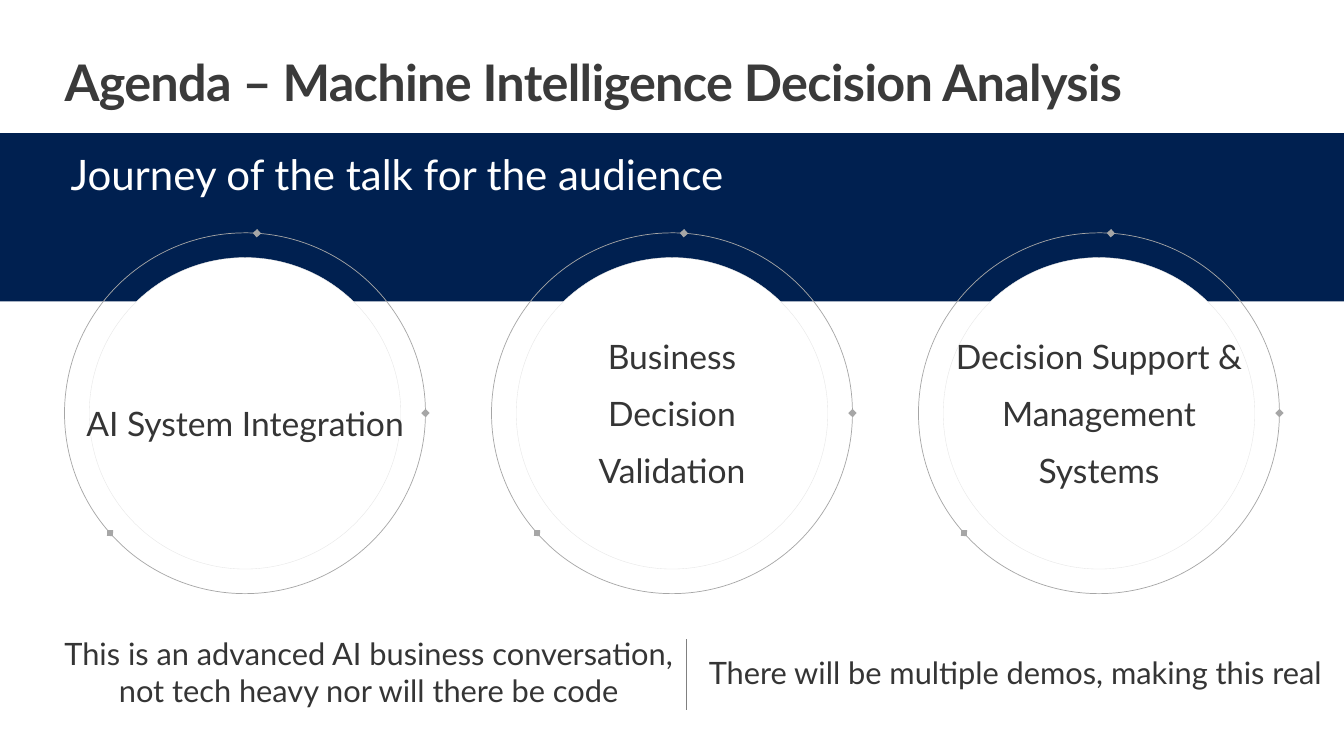
from dataclasses import dataclass

from lxml import etree
from pptx import Presentation
from pptx.dml.color import RGBColor
from pptx.enum.shapes import MSO_CONNECTOR, MSO_SHAPE
from pptx.enum.text import MSO_ANCHOR, PP_ALIGN
from pptx.oxml.ns import qn
from pptx.util import Inches, Pt

RECT, OVAL, ARC = MSO_SHAPE.RECTANGLE, MSO_SHAPE.OVAL, MSO_SHAPE.ARC
STRAIGHT = MSO_CONNECTOR.STRAIGHT
LEFT, CENTER = PP_ALIGN.LEFT, PP_ALIGN.CENTER
TOP, MIDDLE = MSO_ANCHOR.TOP, MSO_ANCHOR.MIDDLE


@dataclass(frozen=True)
class Theme:
    """Colours, font and type sizes of the slide."""
    font: str = "Lato"
    title: str = "3A3A3A"
    text: str = "353535"
    white: str = "FFFFFF"
    navy: str = "002050"
    ring: str = "A6A6A6"
    rim: str = "E6E6E6"
    rule: str = "808080"
    title_size: int = 36
    banner_size: int = 30
    topic_size: int = 24
    note_size: int = 22


T = Theme()
W, H = 13.33, 7.5
TOPICS = [
    ["AI System Integration"],
    ["Business", "Decision", "Validation"],
    ["Decision Support &", "Management", "Systems"],
]
RING_ARCS = [
    (156.45, 273.8, True),
    (274.36, 359.95, True),
    (359.66, 138.39, True),
    (138.87, 156.47, False),
]


def write(sp, lines, size, color=T.text, bold=False, align=CENTER, anchor=MIDDLE,
          insets=(0, 0, 0, 0), wrap=True, gap=0, spacing=None):
    """Fill a shape with one formatted paragraph per line."""
    tf = sp.text_frame
    tf.word_wrap, tf.vertical_anchor = wrap, anchor
    tf.margin_left, tf.margin_top, tf.margin_right, tf.margin_bottom = map(Inches, insets)
    for i, line in enumerate(lines):
        p = tf.paragraphs[0] if i == 0 else tf.add_paragraph()
        p.alignment = align
        p.space_before = Pt(gap if i else 0)
        r = p.add_run()
        r.text = line
        r.font.name, r.font.size, r.font.bold = T.font, Pt(size), bold
        r.font.color.rgb = RGBColor.from_string(color)
        if spacing is not None:
            r.font._element.set("spc", str(int(spacing * 100)))


def add_shape(shapes, kind, box, fill=None, line=None, width=0.5):
    """Add a flat preset shape with the given fill and line."""
    sp = shapes.add_shape(kind, *map(Inches, box))
    sp.shadow.inherit = False
    if fill:
        sp.fill.solid()
        sp.fill.fore_color.rgb = RGBColor.from_string(fill)
    else:
        sp.fill.background()
    if line:
        sp.line.color.rgb = RGBColor.from_string(line)
        sp.line.width = Pt(width)
    else:
        sp.line.fill.background()
    return sp


def add_title(s, box, text):
    """Place and format the title placeholder."""
    sp = s.shapes.title
    sp.left, sp.top, sp.width, sp.height = map(Inches, box)
    write(sp, [text], T.title_size, color=T.title, bold=True, align=LEFT, spacing=-0.5)


def add_banner(s, box, text):
    """Add the full-width band with its subtitle."""
    sp = add_shape(s.shapes, RECT, box, fill=T.navy)
    write(sp, [text], T.banner_size, color=T.white, align=LEFT, anchor=TOP,
          insets=(0.7, 0.15, 0.1, 0.05), wrap=False)


def add_topic(s, box, lines):
    """Add a topic disc surrounded by a ring of arcs with diamond ends."""
    x, y, size = box
    inset = 0.245
    disc = size - 2 * inset
    sp = add_shape(s.shapes, OVAL, (x + inset, y + inset, disc, disc),
                   fill=T.white, line=T.rim, width=0.25)
    drop = 0.2 if len(lines) == 1 else 0
    write(sp, lines, T.topic_size, insets=(0, drop, 0, 0), wrap=False, gap=12)
    ring = s.shapes.add_group_shape()
    for start, end, diamond in RING_ARCS:
        arc = add_shape(ring.shapes, ARC, (x, y, size, size), line=T.ring)
        arc.adjustments[0], arc.adjustments[1] = start * 0.6, end * 0.6
        if diamond:
            etree.SubElement(arc.line._get_or_add_ln(), qn("a:tailEnd"), type="diamond")


def add_note(s, box, text, left_inset=0.1):
    """Add a centred note."""
    sp = s.shapes.add_textbox(*map(Inches, box))
    write(sp, [text], T.note_size, insets=(left_inset, 0.05, 0.1, 0.05))


def add_footer(s, box, left_text, right_text):
    """Add two notes parted by a vertical rule."""
    x, y, w, h = box
    split, pad = 6.81, 0.19
    add_note(s, (x, y, split - x, h), left_text, left_inset=0.6)
    add_note(s, (split, y, x + w - split, h), right_text)
    rule = s.shapes.add_connector(STRAIGHT, Inches(split), Inches(y + pad),
                                  Inches(split), Inches(y + h - 0.14))
    rule.line.color.rgb = RGBColor.from_string(T.rule)
    rule.line.width = Pt(0.5)
    etree.SubElement(rule._element.spPr, qn("a:effectLst"))


def main():
    """Build and save the agenda slide."""
    prs = Presentation()
    prs.slide_width, prs.slide_height = Inches(W), Inches(H)
    s = prs.slides.add_slide(prs.slide_layouts[5])
    add_title(s, (0.64, 0.5, 12.05, 0.61), "Agenda – Machine Intelligence Decision Analysis")
    add_banner(s, (0, 1.32, W, 1.67), "Journey of the talk for the audience")
    ring, margin = 3.58, 0.64
    pitch = (W - 2 * margin - ring) / (len(TOPICS) - 1)
    for i, lines in enumerate(TOPICS):
        add_topic(s, (margin + i * pitch, 2.31, ring), lines)
    add_footer(s, (0, 6.15, W, 1.03),
               "This is an advanced AI business conversation, not tech heavy nor will there be code",
               "There will be multiple demos, making this real")
    prs.save("out.pptx")


if __name__ == "__main__":
    main()
